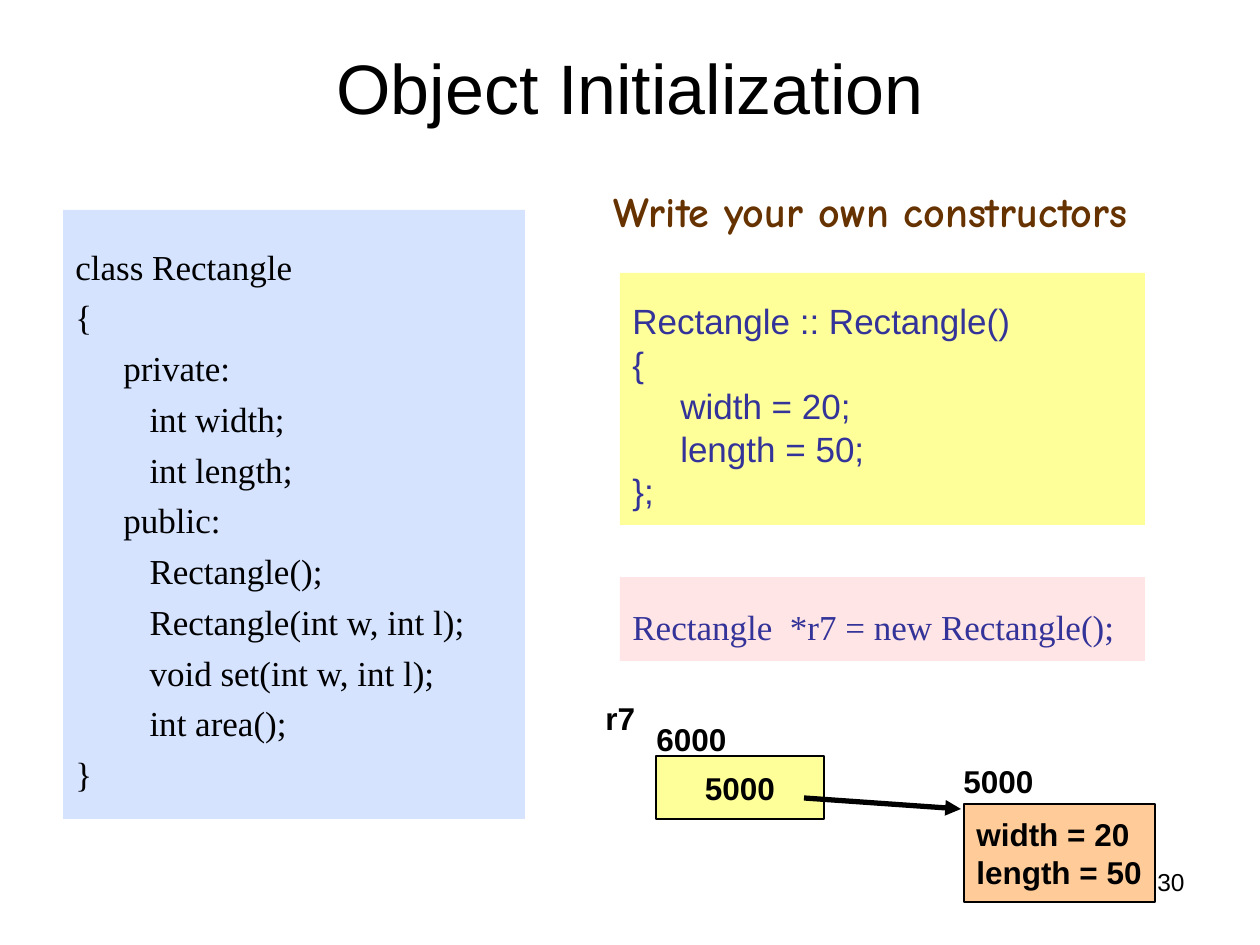
from lxml.etree import SubElement
from pptx import Presentation
from pptx.dml.color import RGBColor
from pptx.enum.shapes import MSO_CONNECTOR, MSO_SHAPE
from pptx.enum.text import MSO_ANCHOR, MSO_AUTO_SIZE, PP_ALIGN
from pptx.oxml.ns import qn
from pptx.util import Inches, Pt

PX_PER_INCH = 126
BLACK = RGBColor(0x00, 0x00, 0x00)
NAVY = RGBColor(0x33, 0x33, 0x99)
BROWN = RGBColor(0x66, 0x33, 0x00)
PALE_BLUE = RGBColor(0xD5, 0xE3, 0xFF)
YELLOW = RGBColor(0xFF, 0xFF, 0x99)
PINK = RGBColor(0xFF, 0xE5, 0xE5)
ORANGE = RGBColor(0xFF, 0xCC, 0x99)
SANS, SERIF, COMIC = "Arial", "Times New Roman", "Comic Neue"

CLASS_CODE = """class Rectangle
{
\tprivate:
\t   int width;
\t   int length;
\tpublic:
\t   Rectangle();
\t   Rectangle(int w, int l);
\t   void set(int w, int l);
\t   int area();
}"""
CONSTRUCTOR_CODE = """Rectangle :: Rectangle()
{
\twidth = 20;
\tlength = 50;
};"""


def px(length):
    return Inches(length / PX_PER_INCH)


class SlideBuilder:
    def __init__(self, slide):
        self.shapes = slide.shapes

    def add_lines(self, box, lines, size, font=SANS, color=BLACK, bold=False,
                  align=PP_ALIGN.LEFT):
        frame = box.text_frame
        for index, line in enumerate(lines):
            para = frame.add_paragraph() if index else frame.paragraphs[0]
            para.alignment = align
            span = para.add_run()
            span.text = line
            span.font.size = Pt(size)
            span.font.name = font
            span.font.bold = bold
            span.font.color.rgb = color
        return frame

    def text(self, left, top, width, height, line, size, wrap=False,
             anchor=MSO_ANCHOR.TOP, **style):
        box = self.shapes.add_textbox(px(left), px(top), px(width), px(height))
        frame = self.add_lines(box, [line], size, **style)
        frame.word_wrap = wrap
        frame.vertical_anchor = anchor
        if not wrap:
            frame.auto_size = MSO_AUTO_SIZE.SHAPE_TO_FIT_TEXT

    def rectangle(self, left, top, width, height, fill):
        box = self.shapes.add_shape(MSO_SHAPE.RECTANGLE, px(left), px(top),
                                    px(width), px(height))
        box.shadow.inherit = False
        box.fill.solid()
        box.fill.fore_color.rgb = fill
        box.line.fill.background()
        return box

    def code(self, left, top, width, height, fill, source, inset, font, color,
             spacing=1.0):
        """Add a filled panel of code with hanging indents and tab stops."""
        box = self.rectangle(left, top, width, height, fill)
        frame = self.add_lines(box, source.splitlines(), 20, font, color)
        frame.word_wrap = True
        frame.vertical_anchor = MSO_ANCHOR.TOP
        frame.margin_top = px(inset)
        for index, para in enumerate(frame.paragraphs):
            if index:
                para.space_before = Pt(5)
                para.line_spacing = spacing
            properties = para._p.get_or_add_pPr()
            properties.set("marL", str(Inches(0.38)))
            properties.set("indent", str(-Inches(0.38)))
            stops = SubElement(properties, qn("a:tabLst"))
            for inch in range(8):
                SubElement(stops, qn("a:tab"), pos=str(Inches(inch)), algn="l")

    def memory(self, left, top, width, height, fill, lines, align):
        """Add an outlined memory cell with its contents."""
        box = self.rectangle(left, top, width, height, fill)
        box.line.color.rgb = BLACK
        box.line.width = Pt(0.75)
        frame = self.add_lines(box, lines, 18, bold=True, align=align)
        frame.word_wrap = False
        frame.vertical_anchor = MSO_ANCHOR.MIDDLE

    def arrow(self, x1, y1, x2, y2):
        line = self.shapes.add_connector(MSO_CONNECTOR.STRAIGHT, px(x1), px(y1),
                                         px(x2), px(y2))
        line.line.color.rgb = BLACK
        line.line.width = Pt(3)
        SubElement(line.line._get_or_add_ln(), qn("a:tailEnd"), type="triangle")
        SubElement(line._element.spPr, qn("a:effectLst"))


def main():
    deck = Presentation()
    deck.slide_width, deck.slide_height = px(1260), px(945)
    page = SlideBuilder(deck.slides.add_slide(deck.slide_layouts[6]))

    page.code(63, 210, 462, 609, PALE_BLUE, CLASS_CODE, 35, SERIF, BLACK)
    page.text(63, 38, 1134, 98, "Object Initialization", 40, wrap=True,
              anchor=MSO_ANCHOR.MIDDLE, align=PP_ALIGN.CENTER)
    page.text(601, 179, 542, 63, "Write your own constructors", 24,
              font=COMIC, color=BROWN, bold=True)
    page.code(620, 273, 525, 252, YELLOW, CONSTRUCTOR_CODE, 27, SANS, NAVY, 0.8)
    page.code(620, 577, 525, 84, PINK, "Rectangle  *r7 = new Rectangle();",
              28, SERIF, NAVY)

    page.memory(964, 804, 191, 98, ORANGE, ["width = 20", "length = 50"],
                PP_ALIGN.LEFT)
    for left, top, width, label in [(951, 756, 95, "5000"), (593, 693, 56, "r7"),
                                    (644, 714, 95, "6000")]:
        page.text(left, top, width, 50, label, 18, bold=True)
    page.memory(656, 756, 168, 63, YELLOW, ["5000"], PP_ALIGN.CENTER)
    page.arrow(804, 798, 961, 809)
    page.text(903, 861, 294, 66, "30", 14, wrap=True, align=PP_ALIGN.RIGHT)

    deck.save("out.pptx")


if __name__ == "__main__":
    main()
